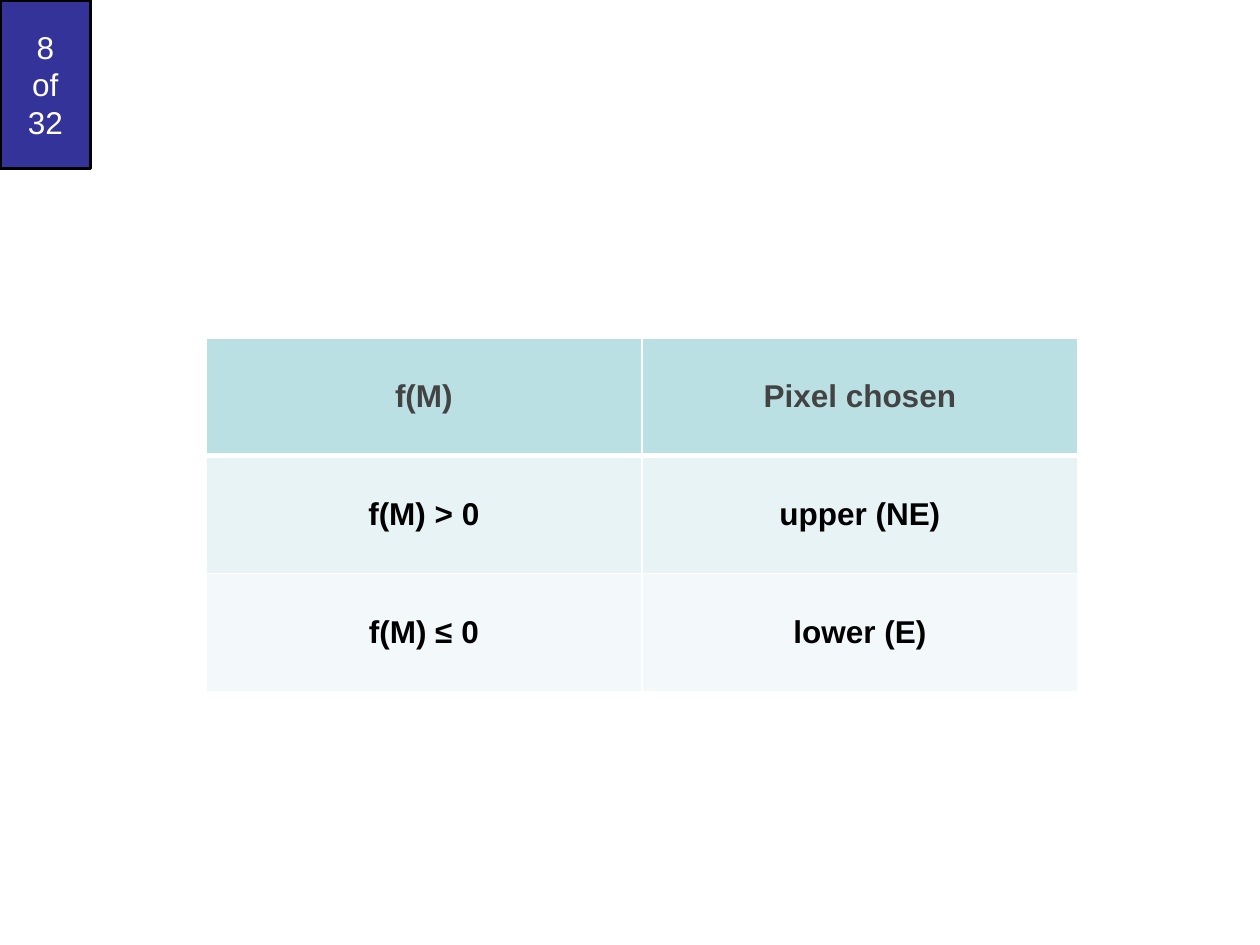
from lxml import etree
from pptx import Presentation
from pptx import util as u
from pptx.dml.color import RGBColor
from pptx.enum import shapes, text
from pptx.oxml.ns import qn

HUES = {
    "navy": "333399",
    "black": "000000",
    "white": "FFFFFF",
    "gray": "434343",
    "head": "BBE0E3",
    "odd": "E7F3F4",
    "even": "F3F9FA",
}
ROWS = [
    ("f(M)", "Pixel chosen"),
    ("f(M) > 0", "upper (NE)"),
    ("f(M) ≤ 0", "lower (E)"),
]
STYLES = [("head", "gray"), ("odd", "black"), ("even", "black")]


def hue(name):
    return RGBColor.from_string(HUES[name])


def add_run(para, words, color, bold=False):
    para.alignment = text.PP_ALIGN.CENTER
    run = para.add_run()
    run.text = words
    run.font.name = "Arial"
    run.font.size = u.Pt(18)
    run.font.bold = bold
    run.font.color.rgb = hue(color)


def add_edge(cell, side, width):
    props = cell._tc.get_or_add_tcPr()
    line = etree.SubElement(props, qn(f"a:ln{side}"), w=str(u.Pt(width)))
    fill = etree.SubElement(line, qn("a:solidFill"))
    etree.SubElement(fill, qn("a:srgbClr"), val=HUES["white"])


def add_badge(slide, left, top, width, height):
    badge = slide.shapes.add_shape(
        shapes.MSO_SHAPE.RECTANGLE, left, top, width, height)
    badge.shadow.inherit = False
    badge.fill.solid()
    badge.fill.fore_color.rgb = hue("navy")
    badge.line.color.rgb = hue("black")
    badge.line.width = u.Pt(2)
    frame = badge.text_frame
    frame.word_wrap = True
    frame.vertical_anchor = text.MSO_ANCHOR.MIDDLE
    para = frame.paragraphs[0]
    for i, words in enumerate(("8", "of", "32")):
        if i:
            para.add_line_break()
        add_run(para, words, "white")


def add_grid(slide, left, top, width, height):
    grid = slide.shapes.add_table(
        len(ROWS), len(ROWS[0]), left, top, width, height).table
    for r, (row, (fill, ink)) in enumerate(zip(ROWS, STYLES)):
        for c, words in enumerate(row):
            cell = grid.cell(r, c)
            for side in "LRTB":
                thick = (r, side) in ((0, "B"), (1, "T"))
                add_edge(cell, side, 3 if thick else 1)
            cell.fill.solid()
            cell.fill.fore_color.rgb = hue(fill)
            cell.vertical_anchor = text.MSO_ANCHOR.MIDDLE
            add_run(cell.text_frame.paragraphs[0], words, ink, True)


def main():
    deck = Presentation()
    deck.slide_width = u.Cm(25.4)
    deck.slide_height = u.Cm(19.05)
    slide = deck.slides.add_slide(deck.slide_layouts[6])
    add_badge(slide, 0, 0, u.Cm(1.83), u.Cm(3.4))
    add_grid(slide, u.Cm(4.15), u.Cm(6.81), u.Cm(17.58), u.Cm(7.13))
    deck.save("out.pptx")


if __name__ == "__main__":
    main()
